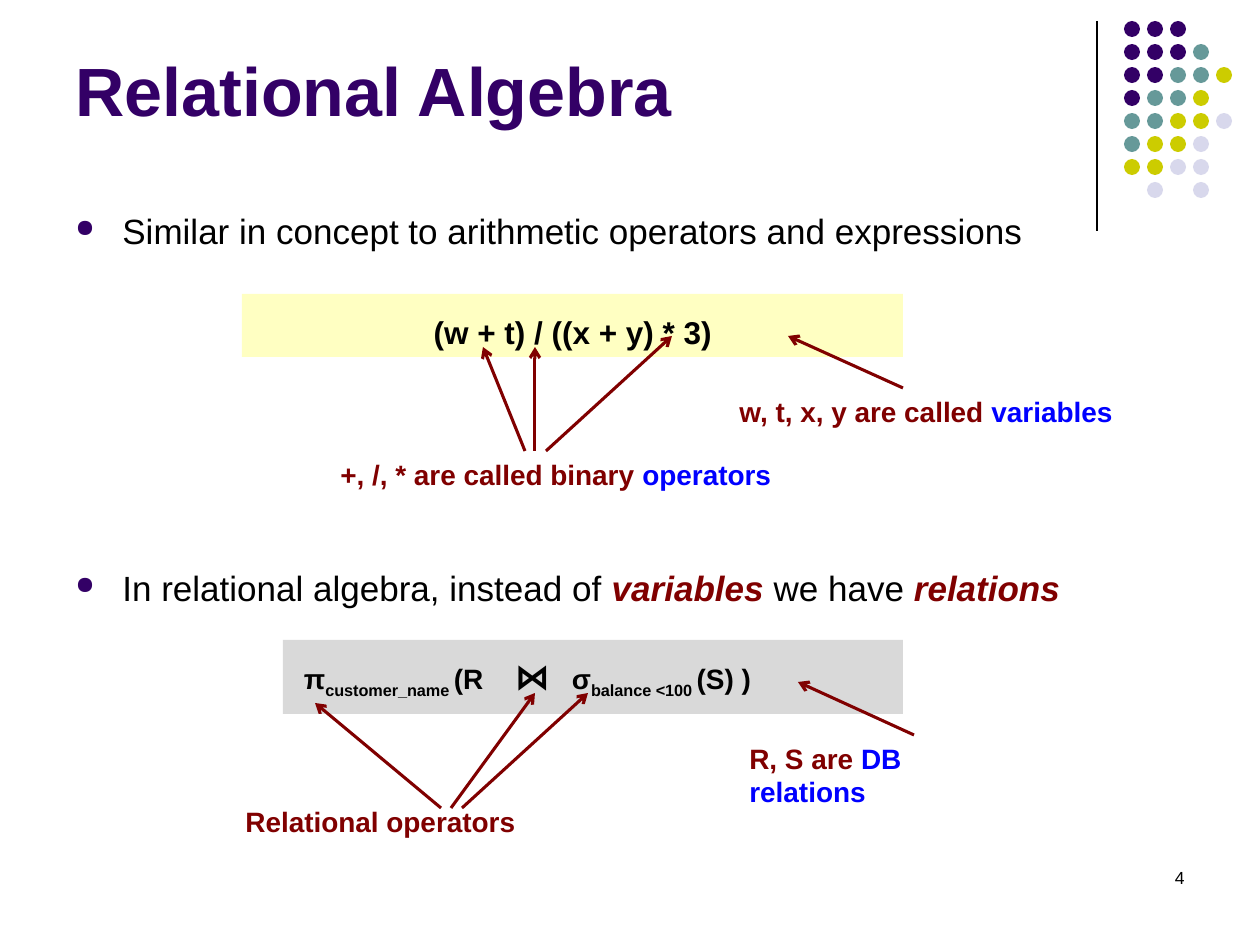
from lxml import etree
from pptx import Presentation
from pptx import util as u
from pptx.dml.color import RGBColor
from pptx.enum import shapes as kinds, text
from pptx.oxml import ns

PURPLE = RGBColor(0x33, 0x00, 0x66)
TEAL = RGBColor(0x66, 0x99, 0x99)
OLIVE = RGBColor(0xCC, 0xCC, 0x00)
LAVENDER = RGBColor(0xD8, 0xD8, 0xEC)
BLACK = RGBColor(0x00, 0x00, 0x00)
MAROON = RGBColor(0x80, 0x00, 0x00)
BLUE = RGBColor(0x00, 0x00, 0xFF)
YELLOW = RGBColor(0xFF, 0xFF, 0xC2)
GRAY = RGBColor(0xD9, 0xD9, 0xD9)

DOT_ROWS = ["PPP", "PPPT", "PPTTO", "PTTO", "TTOOL", "TOOL", "OOLL", " L L"]
DOT_COLORS = {"P": PURPLE, "T": TEAL, "O": OLIVE, "L": LAVENDER}
DOT_SIZE = 16
DOT_PITCH = 23


def px(value):
    return u.Emu(round(value * 914400 / 126))


def add_child(parent, tag, **attributes):
    return etree.SubElement(parent, ns.qn(tag), attributes)


def add_runs(paragraph, runs, size, color=BLACK, bold=False):
    for content, changes in runs:
        run = paragraph.add_run()
        run.text = content
        font = run.font
        font.name = "Arial"
        font.size = u.Pt(changes.get("size", size))
        font.bold = changes.get("bold", bold)
        font.italic = changes.get("italic", False)
        font.color.rgb = changes.get("color", color)
        if changes.get("subscript"):
            font._element.set("baseline", "-25000")


def add_text(shapes, box, runs, size, color=BLACK, bold=False, wrap=True,
             anchor=text.MSO_ANCHOR.TOP, align=text.PP_ALIGN.LEFT):
    textbox = shapes.add_textbox(*map(px, box))
    frame = textbox.text_frame
    frame.word_wrap = wrap
    frame.vertical_anchor = anchor
    if not wrap:
        frame.auto_size = text.MSO_AUTO_SIZE.SHAPE_TO_FIT_TEXT
    frame.paragraphs[0].alignment = align
    add_runs(frame.paragraphs[0], runs, size, color, bold)


def add_label(shapes, box, plain, term=""):
    runs = [(plain, {})]
    if term:
        runs.append((term, {"color": BLUE}))
    add_text(shapes, box, runs, 16, MAROON, bold=True, wrap=False)


def add_filled(shapes, kind, box, color):
    shape = shapes.add_shape(kind, *map(px, box))
    shape.shadow.inherit = False
    shape.fill.solid()
    shape.fill.fore_color.rgb = color
    shape.line.fill.background()
    return shape


def add_formula(shapes, box, color, runs, size, anchor, align, left_inset=13, tabs=()):
    shape = add_filled(shapes, kinds.MSO_SHAPE.RECTANGLE, box, color)
    frame = shape.text_frame
    frame.word_wrap = True
    frame.vertical_anchor = anchor
    frame.margin_left = px(left_inset)
    paragraph = frame.paragraphs[0]
    paragraph.alignment = align
    if tabs:
        tab_list = add_child(paragraph._p.get_or_add_pPr(), "a:tabLst")
        for position in tabs:
            add_child(tab_list, "a:tab", pos=str(px(position)), algn="l")
    add_runs(paragraph, runs, size, bold=True)


def add_line(shapes, start, end, color, width, arrow=False):
    line = shapes.add_connector(kinds.MSO_CONNECTOR.STRAIGHT, *map(px, start + end))
    line.line.color.rgb = color
    line.line.width = u.Pt(width)
    if arrow:
        add_child(line.line._get_or_add_ln(), "a:tailEnd", type="arrow")
    add_child(line._element.spPr, "a:effectLst")


def add_arrows(shapes, arrows):
    for start, end in arrows:
        add_line(shapes, start, end, MAROON, 1.75, arrow=True)


def add_dots(shapes):
    for row, letters in enumerate(DOT_ROWS):
        for column, letter in enumerate(letters):
            if letter in DOT_COLORS:
                box = (1124 + column * DOT_PITCH, 21 + row * DOT_PITCH, DOT_SIZE, DOT_SIZE)
                add_filled(shapes, kinds.MSO_SHAPE.OVAL, box, DOT_COLORS[letter])


def add_bullets(shapes, box, items, gap):
    frame = shapes.add_textbox(*map(px, box)).text_frame
    frame.word_wrap = True
    frame.margin_top = px(10)
    for index, runs in enumerate(items):
        paragraph = frame.add_paragraph() if index else frame.paragraphs[0]
        if index:
            paragraph.space_before = u.Pt(gap)
        properties = paragraph._p.get_or_add_pPr()
        properties.set("marL", str(px(47)))
        properties.set("indent", str(px(-47)))
        add_child(add_child(properties, "a:buClr"), "a:srgbClr", val=str(PURPLE))
        add_child(properties, "a:buSzPct", val="70000")
        add_child(properties, "a:buChar", char="●")
        add_runs(paragraph, runs, 20)


def add_arithmetic_example(shapes):
    add_formula(shapes, (242, 294, 661, 63), YELLOW, [("(w + t) / ((x + y) * 3)", {})], 18,
                text.MSO_ANCHOR.BOTTOM, text.PP_ALIGN.CENTER)
    add_arrows(shapes, [
        ((525, 451), (483, 347)),
        ((535, 451), (535, 347)),
        ((546, 451), (672, 336)),
        ((903, 388), (788, 336)),
    ])
    add_label(shapes, (328, 451, 464, 47), "+, /, * are called binary ", "operators")
    add_label(shapes, (727, 388, 399, 47), "w, t, x, y are called ", "variables")


def add_relational_example(shapes):
    subscript = {"subscript": True}
    runs = [("π", {}), ("customer_name ", subscript), ("(R\t", {}), ("⋈", {"size": 20}),
            ("\tσ", {}), ("balance <100 ", subscript), ("(S) )", {})]
    add_formula(shapes, (283, 640, 620, 74), GRAY, runs, 16, text.MSO_ANCHOR.MIDDLE,
                text.PP_ALIGN.LEFT, left_inset=21, tabs=(211, 268))
    add_arrows(shapes, [
        ((914, 735), (798, 682)),
        ((441, 808), (315, 703)),
        ((451, 808), (535, 693)),
        ((462, 808), (588, 693)),
    ])
    add_label(shapes, (737, 735, 301, 47), "R, S are ", "DB relations")
    add_label(shapes, (233, 798, 295, 47), "Relational operators")


def main():
    presentation = Presentation()
    presentation.slide_width = px(1260)
    presentation.slide_height = px(945)
    slide = presentation.slides.add_slide(presentation.slide_layouts[6])
    shapes = slide.shapes
    emphasis = {"color": MAROON, "bold": True, "italic": True}

    add_line(shapes, (1097, 21), (1097, 231), BLACK, 0.75)
    add_dots(shapes.add_group_shape().shapes)
    add_text(shapes, (63, 16, 1040, 120), [("Relational Algebra", {})], 39, PURPLE,
             bold=True, anchor=text.MSO_ANCHOR.BOTTOM)
    add_bullets(shapes, (63, 199, 1040, 645), [
        [("Similar in concept to arithmetic operators and expressions", {})],
        [("In relational algebra, instead of ", {}), ("variables ", emphasis),
         ("we have ", {}), ("relations", emphasis)],
    ], gap=180)
    add_text(shapes, (903, 861, 294, 63), [("4", {})], 10, align=text.PP_ALIGN.RIGHT)
    add_arithmetic_example(shapes)
    add_relational_example(shapes.add_group_shape().shapes)

    presentation.save("out.pptx")


if __name__ == "__main__":
    main()
